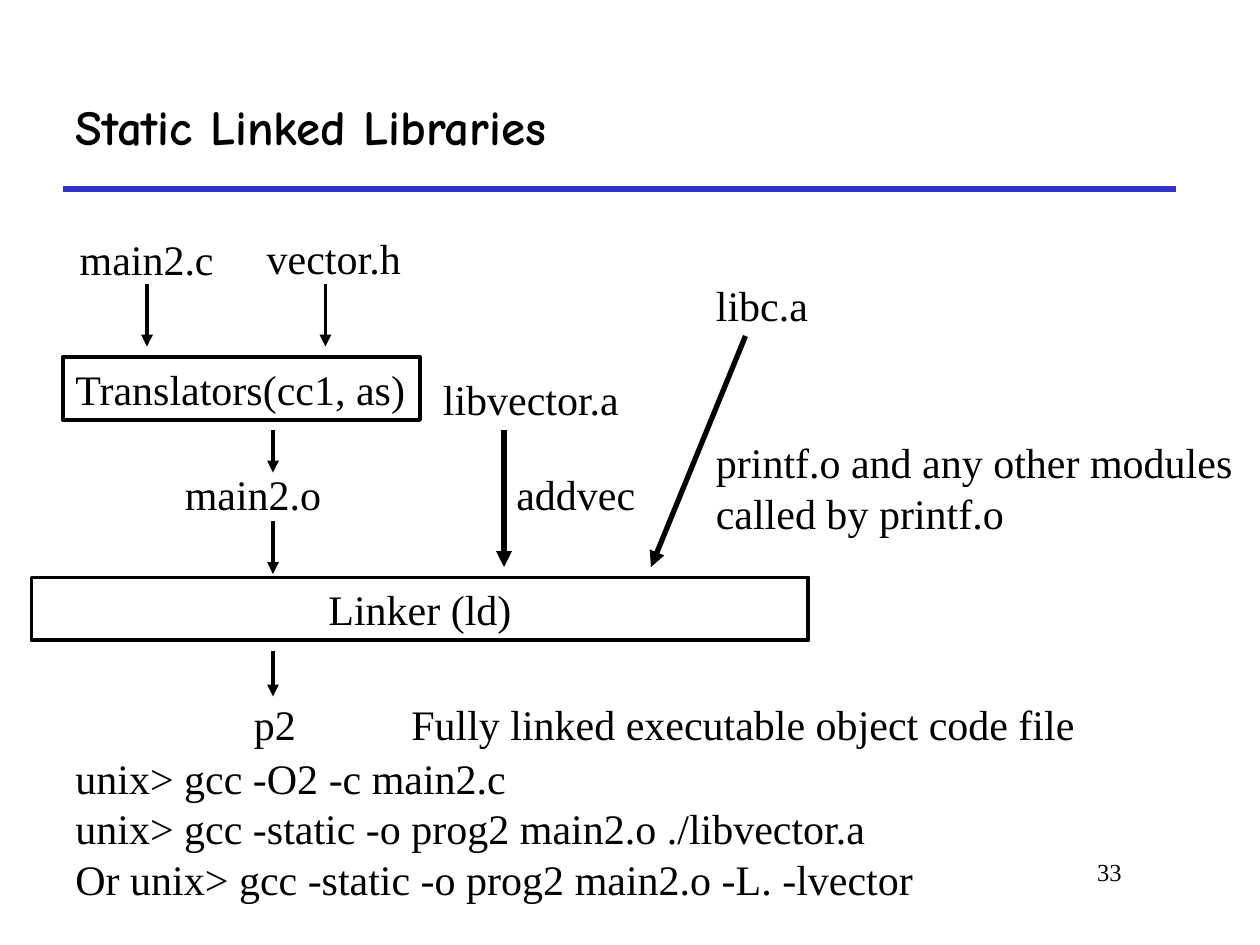
from pptx import Presentation
from pptx.util import Pt
from pptx.dml.color import RGBColor
from pptx.enum.shapes import MSO_CONNECTOR, MSO_SHAPE
from pptx.enum.text import MSO_ANCHOR, PP_ALIGN
from pptx.oxml.ns import qn
from lxml import etree

STRAIGHT = MSO_CONNECTOR.STRAIGHT
RECT = MSO_SHAPE.RECTANGLE
TOP, MIDDLE = MSO_ANCHOR.TOP, MSO_ANCHOR.MIDDLE
LEFT, CENTER, RIGHT = PP_ALIGN.LEFT, PP_ALIGN.CENTER, PP_ALIGN.RIGHT
BLACK, BLUE = "000000", "3333CC"
BODY, HEADING = "Times New Roman", "Comic Neue"


def write(sp, lines, size=24, font=BODY, bold=False, align=LEFT, anchor=TOP):
    """Fill a shape's text frame, one paragraph per line."""
    tf = sp.text_frame
    tf.word_wrap = True
    tf.vertical_anchor = anchor
    for i, line in enumerate(lines):
        p = tf.add_paragraph() if i else tf.paragraphs[0]
        p.alignment = align
        r = p.add_run()
        r.text = line
        r.font.size = Pt(size)
        r.font.name = font
        r.font.bold = bold
        r.font.color.rgb = RGBColor.from_string(BLACK)


def add_line(x1, y1, x2, y2, width, color=BLACK, arrow=True):
    sp = s.shapes.add_connector(STRAIGHT, Pt(x1), Pt(y1), Pt(x2), Pt(y2))
    sp.line.width = Pt(width)
    sp.line.color.rgb = RGBColor.from_string(color)
    if arrow:
        etree.SubElement(sp.line._get_or_add_ln(), qn("a:tailEnd"), type="triangle")
    etree.SubElement(sp._element.spPr, qn("a:effectLst"))


prs = Presentation()
prs.slide_width, prs.slide_height = Pt(720), Pt(540)
s = prs.slides.add_slide(prs.slide_layouts[6])

# Title, rule and page number
add_line(36, 108, 672, 108, 3, BLUE, arrow=False)
title = s.shapes.add_textbox(Pt(36), Pt(36), Pt(636), Pt(72))
write(title, ["Static Linked Libraries"], 28, HEADING, bold=True, anchor=MIDDLE)
number = s.shapes.add_textbox(Pt(546), Pt(486), Pt(102), Pt(36))
write(number, ["33"], 14, align=RIGHT)

# Build tools
for text, x, y, w, align in [
    ("Translators(cc1, as)", 36, 204, 204, LEFT),
    ("Linker (ld)", 18, 330, 444, CENTER),
]:
    sp = s.shapes.add_shape(RECT, Pt(x), Pt(y), Pt(w), Pt(36))
    sp.shadow.inherit = False
    sp.fill.background()
    sp.line.color.rgb = RGBColor.from_string(BLACK)
    sp.line.width = Pt(2.25)
    write(sp, [text], align=align)

# Files and notes
for lines, x, y, w, h in [
    (["main2.c"], 38.4, 130, 96, 36),
    (["vector.h"], 145.3, 129.5, 96, 36),
    (["main2.o"], 98.5, 264, 96, 36),
    (["p2"], 138, 395.5, 42, 36),
    (["libvector.a"], 246, 210, 120, 36),
    (["libc.a"], 402, 156, 108, 36),
    (["addvec"], 288, 264, 114, 36),
    (["printf.o and any other modules called by printf.o"], 402, 246, 318, 65),
    (["Fully linked executable object code file"], 228, 395.5, 432, 36),
    (["unix> gcc -O2 -c main2.c",
      "unix> gcc -static -o prog2 main2.o ./libvector.a",
      "Or unix> gcc -static -o prog2 main2.o -L. -lvector"], 36, 426.5, 636, 94),
]:
    sp = s.shapes.add_textbox(Pt(x), Pt(y), Pt(w), Pt(h))
    write(sp, lines)

# Build flow, then library inputs in a heavier line
for x in (84, 186):
    add_line(x, 162, x, 198, 2.25)
for y1, y2 in [(246, 270), (298, 328), (372, 398)]:
    add_line(156, y1, 156, y2, 2.25)
add_line(288, 246, 288, 324, 3)
add_line(426, 192, 372, 324, 3)

prs.save("out.pptx")
